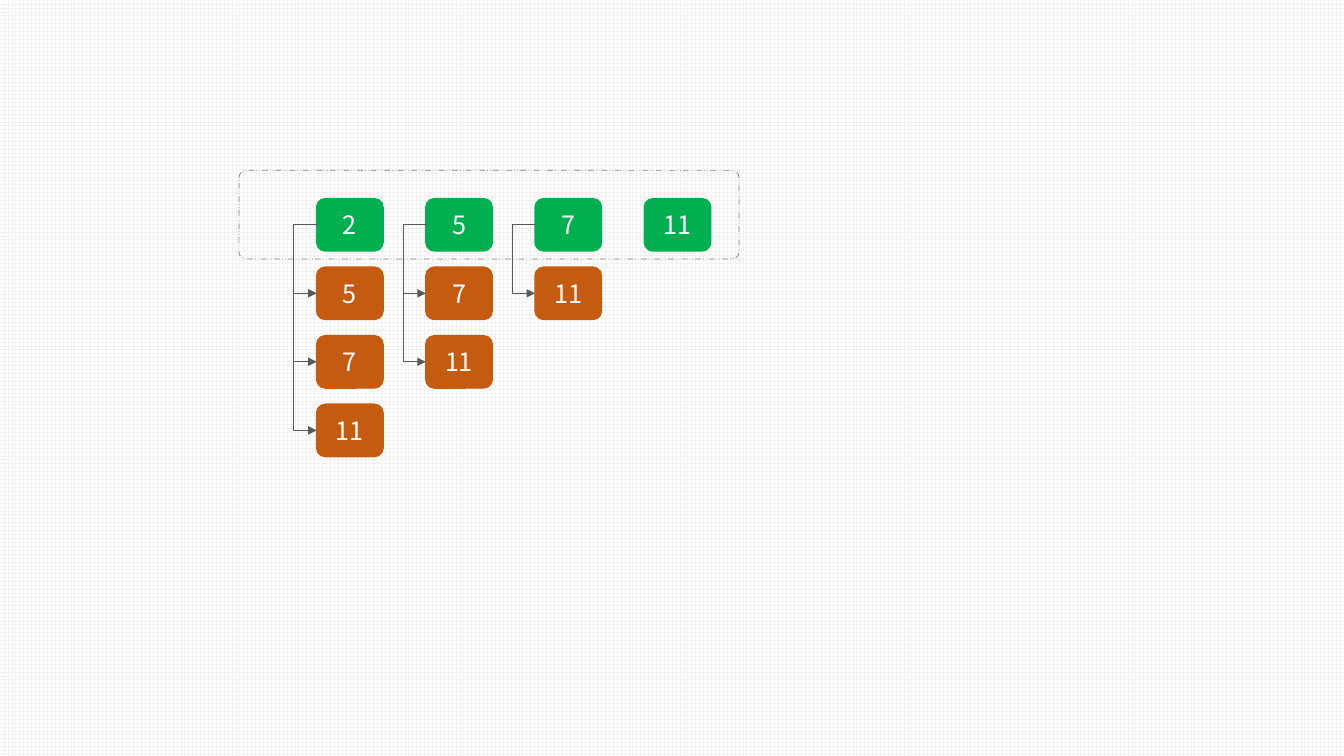
"""Build a slide that pairs each sorted number with the larger numbers after it."""
from dataclasses import dataclass

from lxml.etree import SubElement
from pptx import Presentation
from pptx.dml.color import RGBColor
from pptx.enum.dml import MSO_LINE as Dash, MSO_PATTERN as Pattern
from pptx.enum.shapes import MSO_CONNECTOR as Conn, MSO_SHAPE as Shape
from pptx.enum.text import MSO_ANCHOR as Anchor, PP_ALIGN as Align
from pptx.oxml.ns import qn
from pptx.shapes.autoshape import Shape as AutoShape
from pptx.slide import Slide
from pptx.util import Inches, Pt

COLORS = {"head": "00B050", "candidate": "C55A11", "arrow": "595959",
          "frame": "808080", "text": "FFFFFF", "grid": "F2F2F2", "paper": "FFFFFF"}
FONT = "Noto Sans CJK SC"
VALUES = (2, 5, 7, 11)
LEFT, TOP = 3.14, 1.97
COL, ROW = 3.25 / 3, 0.68
BOX_W, BOX_H = 0.66, 0.52
TRUNK, STEP = 0.23, 0.01
PAD_LEFT, PAD_RIGHT, PAD_TOP, FRAME_H = 0.77, 0.28, 0.28, 0.88


@dataclass(frozen=True)
class Cell:
    col: int
    row: int

    @property
    def x(self) -> float:
        return LEFT + self.col * COL

    @property
    def y(self) -> float:
        return TOP + self.row * ROW

    @property
    def middle(self) -> float:
        return self.y + BOX_H / 2

    @property
    def text(self) -> str:
        return str(VALUES[self.col + self.row])

    @property
    def color(self) -> str:
        return "candidate" if self.row else "head"


def rgb(name: str) -> RGBColor:
    return RGBColor.from_string(COLORS[name])


def add_round(s: Slide, x: float, y: float, w: float, h: float,
              line: str, width: float) -> AutoShape:
    sp = s.shapes.add_shape(Shape.ROUNDED_RECTANGLE, *map(Inches, (x, y, w, h)))
    sp.shadow.inherit = False
    sp.line.color.rgb = rgb(line)
    sp.line.width = Pt(width)
    return sp


def add_box(s: Slide, cell: Cell) -> None:
    sp = add_round(s, cell.x, cell.y, BOX_W, BOX_H, cell.color, 1)
    sp.fill.solid()
    sp.fill.fore_color.rgb = rgb(cell.color)
    tf = sp.text_frame
    tf.vertical_anchor = Anchor.MIDDLE
    p = tf.paragraphs[0]
    p.alignment = Align.CENTER
    r = p.add_run()
    r.text = cell.text
    r.font.name, r.font.size = FONT, Pt(18)
    r.font.color.rgb = rgb("text")


def add_arrow(s: Slide, head: Cell, target: Cell) -> None:
    ends = head.x + STEP, head.middle, target.x, target.middle
    cx = s.shapes.add_connector(Conn.ELBOW, *map(Inches, ends))
    cx.line.color.rgb = rgb("arrow")
    cx.line.width = Pt(0.5)
    props = cx._element.spPr
    SubElement(cx.get_or_add_ln(), qn("a:tailEnd"), type="triangle")
    SubElement(props, qn("a:effectLst"))
    bend = round((TRUNK + STEP) / STEP * 100000)
    guides = props.find(qn("a:prstGeom")).get_or_add_avLst()
    SubElement(guides, qn("a:gd"), name="adj1", fmla=f"val {bend}")


def add_frame(s: Slide, first: Cell, last: Cell) -> None:
    left = first.x - PAD_LEFT
    width = last.x + BOX_W + PAD_RIGHT - left
    sp = add_round(s, left, first.y - PAD_TOP, width, FRAME_H, "frame", 0.5)
    sp.adjustments[0] = 0.08
    sp.fill.background()
    sp.line.dash_style = Dash.DASH_DOT_DOT


def main() -> None:
    prs = Presentation()
    prs.slide_width, prs.slide_height = Inches(13.33), Inches(7.5)
    s = prs.slides.add_slide(prs.slide_layouts[6])
    fill = s.background.fill
    fill.patterned()
    fill.pattern = Pattern.LARGE_GRID
    fill.fore_color.rgb, fill.back_color.rgb = rgb("grid"), rgb("paper")

    count = len(VALUES)
    heads = [Cell(col, 0) for col in range(count)]
    candidates = [Cell(col, row) for col in range(count)
                  for row in range(1, count - col)]
    for cell in heads + candidates:
        add_box(s, cell)
    for cell in candidates:
        add_arrow(s, heads[cell.col], cell)
    add_frame(s, heads[0], heads[-1])
    prs.save("out.pptx")


main()
